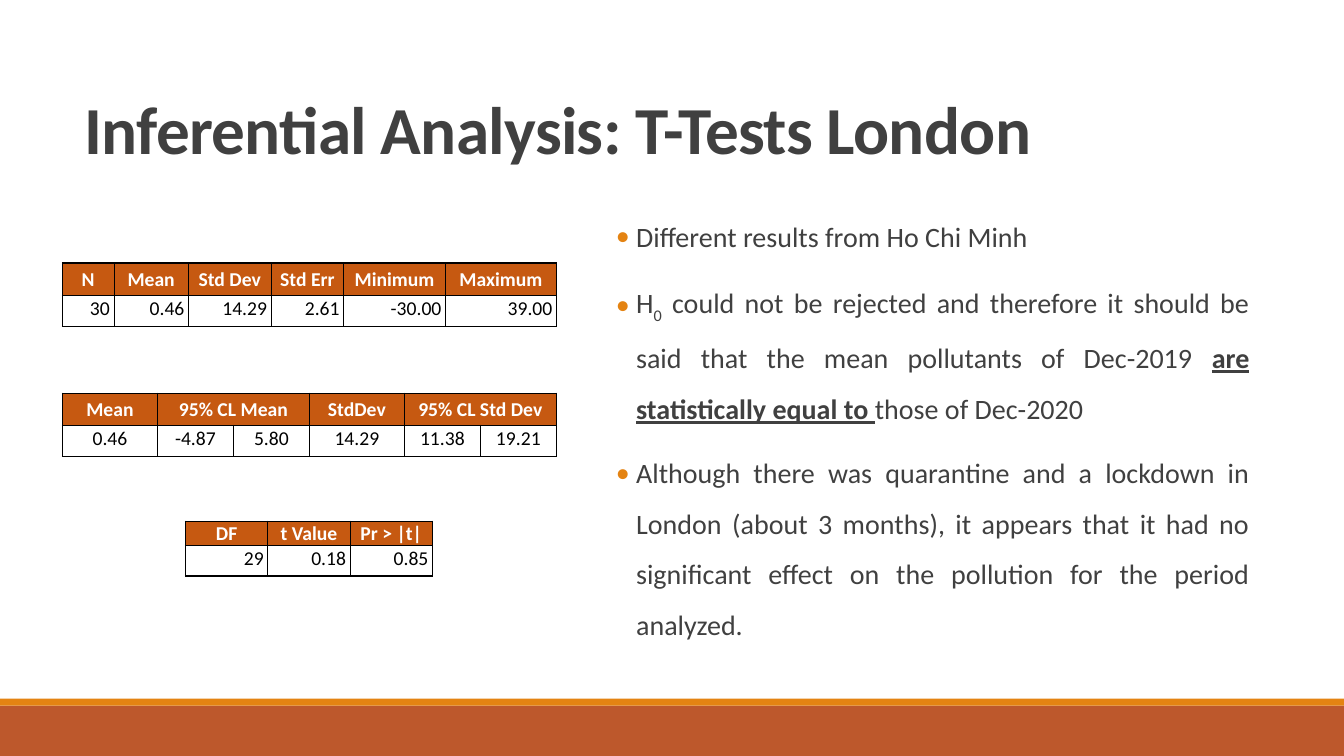
from dataclasses import dataclass

from lxml.etree import SubElement
from pptx import Presentation
from pptx.dml.color import RGBColor
from pptx.enum.shapes import MSO_SHAPE
from pptx.enum.text import MSO_ANCHOR, MSO_AUTO_SIZE, PP_ALIGN
from pptx.oxml.ns import qn
from pptx.util import Inches, Pt

SLIDE_WIDTH, SLIDE_HEIGHT = Inches(13.33), Inches(7.5)


@dataclass(frozen=True)
class Theme:
    font: str = "Calibri"
    text: str = "404040"
    accent: str = "E48312"
    footer: str = "BD582C"
    header: str = "C65911"
    header_text: str = "FFFFFF"
    cell_text: str = "000000"
    border: str = "000000"
    title_size: int = 48
    body_size: int = 20
    table_size: int = 14
    outer_line: float = 1
    inner_line: float = 0.5


THEME = Theme()

BULLETS = [
    [("Different results from Ho Chi Minh", "plain")],
    [
        ("H", "plain"),
        ("0", "subscript"),
        (" could not be rejected and therefore it should be said that "
         "the mean pollutants of Dec-2019 ", "plain"),
        ("are statistically equal to ", "strong"),
        ("those of Dec-2020", "plain"),
    ],
    [("Although there was quarantine and a lockdown in London (about 3 months), "
      "it appears that it had no significant effect on the pollution for the "
      "period analyzed.", "plain")],
]

# Areas are left, top, width and height in percent of the slide.
# A header of None joins the header to its left.
TABLES = [
    {
        "area": (4.65, 34.8, 36.76, 8.4),
        "columns": (51, 74, 82, 72, 101, 110),
        "rows": (1, 1),
        "alignment": PP_ALIGN.RIGHT,
        "headers": ("N", "Mean", "Std Dev", "Std Err", "Minimum", "Maximum"),
        "values": ("30", "0.46", "14.29", "2.61", "-30.00", "39.00"),
    },
    {
        "area": (4.65, 52, 36.76, 8.4),
        "columns": (5, 4, 4, 5, 4, 4),
        "rows": (1, 1),
        "alignment": PP_ALIGN.CENTER,
        "headers": ("Mean", "95% CL Mean", None, "StdDev", "95% CL Std Dev", None),
        "values": ("0.46", "-4.87", "5.80", "14.29", "11.38", "19.21"),
    },
    {
        "area": (13.8, 68.93, 18.38, 7.2),
        "columns": (1, 1, 1),
        "rows": (4, 5),
        "alignment": PP_ALIGN.RIGHT,
        "headers": ("DF", "t Value", "Pr > |t|"),
        "values": ("29", "0.18", "0.85"),
    },
]


def apply(target, formats):
    for name, value in formats.items():
        setattr(target, name, value)


def to_lengths(area):
    """Turn percentages of the slide into left, top, width and height."""
    sides = (SLIDE_WIDTH, SLIDE_HEIGHT) * 2
    return [int(side * share / 100) for side, share in zip(sides, area)]


def style_font(font, size, color, **formats):
    apply(font, {"name": THEME.font, "size": Pt(size), **formats})
    font.color.rgb = RGBColor.from_string(color)


def add_bar(slide, area, color):
    shape = slide.shapes.add_shape(MSO_SHAPE.RECTANGLE, *to_lengths(area))
    shape.shadow.inherit = False
    shape.fill.solid()
    shape.fill.fore_color.rgb = RGBColor.from_string(color)
    shape.line.fill.background()


def set_title(slide, text, area):
    title = slide.shapes.title
    apply(title, dict(zip(("left", "top", "width", "height"), to_lengths(area))))
    frame = title.text_frame
    apply(frame, {"text": text, "word_wrap": True, "auto_size": MSO_AUTO_SIZE.NONE,
                  "vertical_anchor": MSO_ANCHOR.BOTTOM})
    paragraph = frame.paragraphs[0]
    apply(paragraph, {"alignment": PP_ALIGN.LEFT, "line_spacing": 0.85,
                      "space_before": Pt(0), "space_after": Pt(6)})
    run = paragraph.runs[0]
    style_font(run.font, THEME.title_size, THEME.text, bold=True)
    run.font._element.set("spc", "-50")


def add_bullet_mark(paragraph):
    properties = paragraph._p.get_or_add_pPr()
    properties.set("marL", str(Inches(0.42)))
    properties.set("indent", str(Inches(-0.2)))
    color = SubElement(properties, qn("a:buClr"))
    SubElement(color, qn("a:srgbClr"), val=THEME.accent)
    SubElement(properties, qn("a:buFont"), typeface=THEME.font)
    SubElement(properties, qn("a:buChar"), char="•")


def add_bullets(slide, bullets, area):
    frame = slide.shapes.add_textbox(*to_lengths(area)).text_frame
    frame.word_wrap = True
    for index, pieces in enumerate(bullets):
        paragraph = frame.add_paragraph() if index else frame.paragraphs[0]
        apply(paragraph, {"alignment": PP_ALIGN.JUSTIFY, "level": 1, "line_spacing": 1.5,
                          "space_before": Pt(2), "space_after": Pt(8)})
        add_bullet_mark(paragraph)
        for text, style in pieces:
            run = paragraph.add_run()
            run.text = text
            strong = style == "strong"
            style_font(run.font, THEME.body_size, THEME.text, bold=strong, underline=strong)
            if style == "subscript":
                run.font._element.set("baseline", "-25000")


def set_borders(cell, outer_sides):
    properties = cell._tc.get_or_add_tcPr()
    for side in "LRTB":
        width = THEME.outer_line if side in outer_sides else THEME.inner_line
        line = SubElement(properties, qn(f"a:ln{side}"), w=str(Pt(width)))
        fill = SubElement(line, qn("a:solidFill"))
        SubElement(fill, qn("a:srgbClr"), val=THEME.border)


def format_cell(cell, is_header, alignment):
    side_margin = Inches(0.01 if is_header else 0.04)
    apply(cell, {
        "margin_left": side_margin,
        "margin_right": side_margin,
        "margin_top": Inches(0.01 if is_header else 0),
        "margin_bottom": 0,
        "vertical_anchor": MSO_ANCHOR.MIDDLE if is_header else MSO_ANCHOR.TOP,
    })
    paragraph = cell.text_frame.paragraphs[0]
    if is_header:
        cell.fill.solid()
        cell.fill.fore_color.rgb = RGBColor.from_string(THEME.header)
        paragraph.alignment = PP_ALIGN.CENTER
    else:
        cell.fill.background()
        apply(paragraph, {"alignment": alignment, "line_spacing": 1.07,
                          "space_before": Pt(3), "space_after": Pt(3)})
    color = THEME.header_text if is_header else THEME.cell_text
    style_font(paragraph.font, THEME.table_size, color, bold=is_header)
    for run in paragraph.runs:
        style_font(run.font, THEME.table_size, color, bold=is_header)


def add_statistics(slide, area, columns, rows, alignment, headers, values):
    left, top, width, height = to_lengths(area)
    table = slide.shapes.add_table(len(rows), len(columns), left, top, width, height).table
    apply(table, {"first_row": False, "horz_banding": False})
    for column, share in zip(table.columns, columns):
        column.width = int(width * share / sum(columns))
    for row, share in zip(table.rows, rows):
        row.height = int(height * share / sum(rows))
    for index, header in enumerate(headers):
        if header is None:
            table.cell(0, index - 1).merge(table.cell(0, index))
    for row_index, texts in enumerate((headers, values)):
        for index, text in enumerate(texts):
            cell = table.cell(row_index, index)
            if text is not None:
                cell.text = text
            outer_sides = "B" if row_index else "T"
            if index == 0:
                outer_sides += "L"
            if index + cell.span_width == len(columns):
                outer_sides += "R"
            set_borders(cell, outer_sides)
            format_cell(cell, row_index == 0, alignment)


def main():
    presentation = Presentation()
    apply(presentation, {"slide_width": SLIDE_WIDTH, "slide_height": SLIDE_HEIGHT})
    slide = presentation.slides.add_slide(presentation.slide_layouts[5])
    add_bar(slide, (0, 93.33, 100, 6.67), THEME.footer)
    add_bar(slide, (0, 92.4, 100, 0.93), THEME.accent)
    set_title(slide, "Inferential Analysis: T-Tests London", (5.55, 11.07, 81.77, 11.87))
    add_bullets(slide, BULLETS, (43.44, 26.13, 50.26, 58.27))
    for table in TABLES:
        add_statistics(slide, **table)
    presentation.save("out.pptx")


if __name__ == "__main__":
    main()
